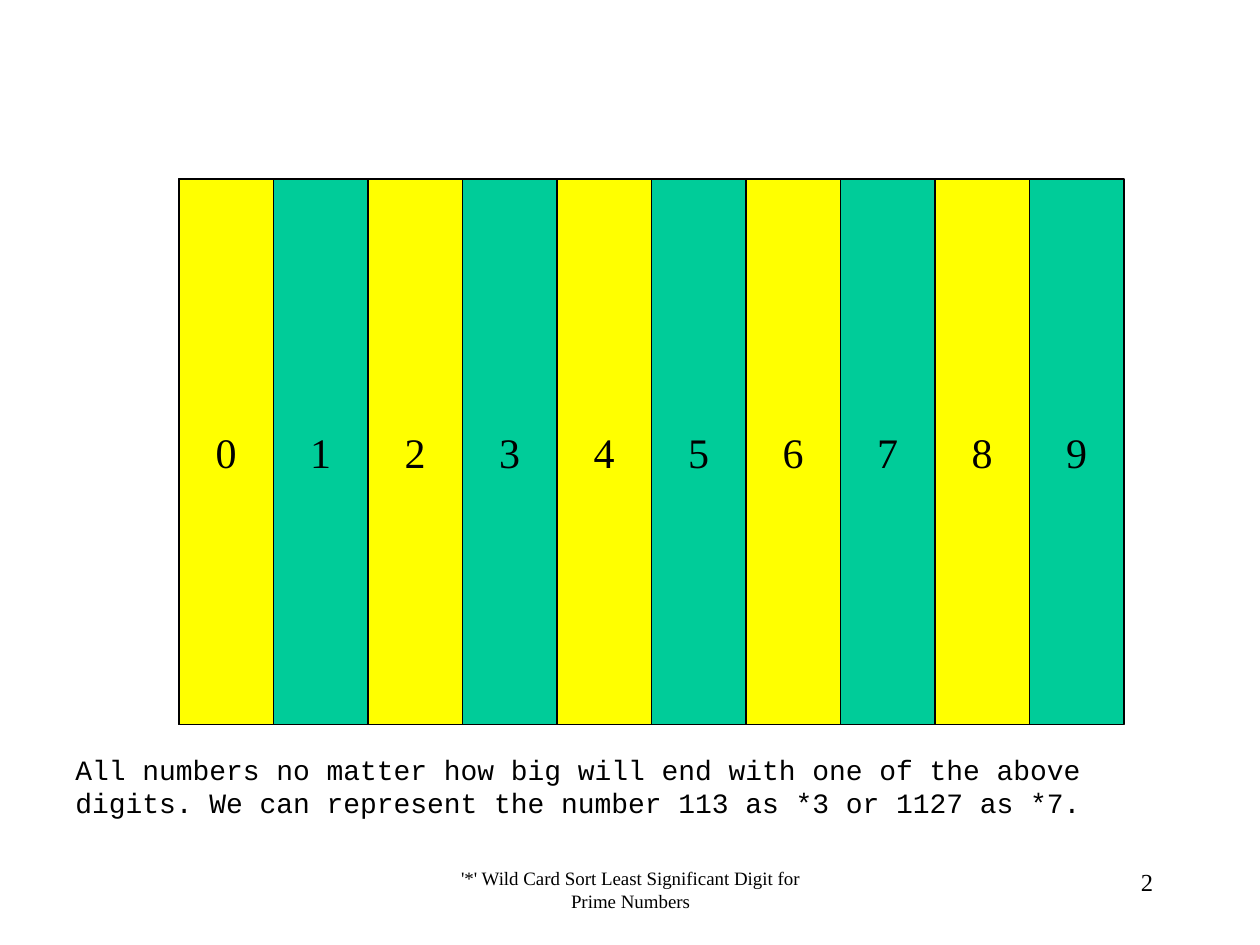
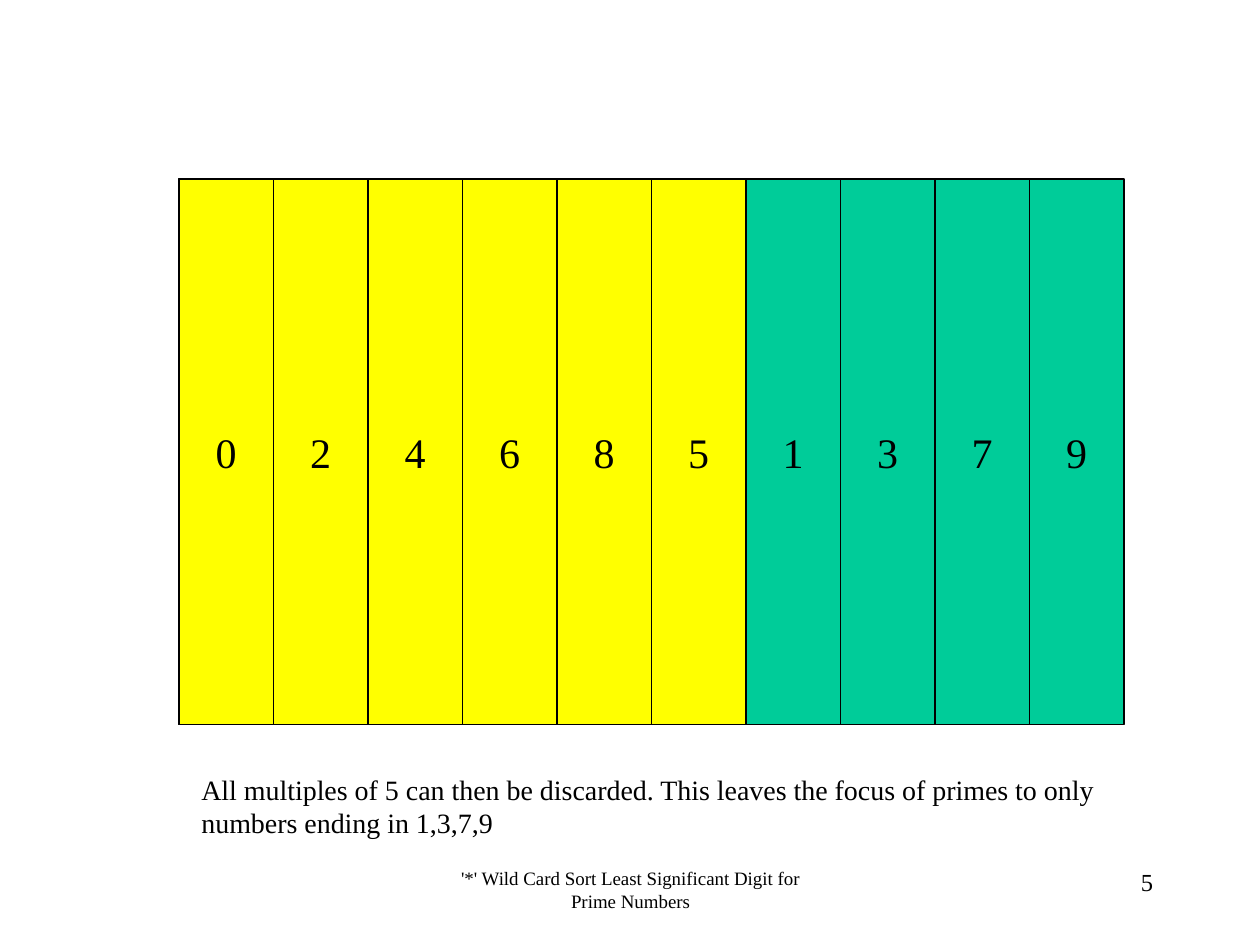
"""Build two slides that sort the final digits of numbers into coloured columns."""
import dataclasses

import pptx
import pptx.dml.color
import pptx.enum.shapes
import pptx.enum.text
import pptx.shapes.autoshape
import pptx.slide
import pptx.text.text
import pptx.util

Inches = pptx.util.Inches
Pt = pptx.util.Pt
RGBColor = pptx.dml.color.RGBColor
Align = pptx.enum.text.PP_ALIGN


@dataclasses.dataclass(frozen=True)
class Theme:
    ink: RGBColor = RGBColor.from_string("000000")
    paper: RGBColor = RGBColor.from_string("FFFFFF")
    yellow: RGBColor = RGBColor.from_string("FFFF00")
    green: RGBColor = RGBColor.from_string("00CC99")
    serif: str = "Times New Roman"
    mono: str = "Courier New"
    digit_size: float = 24
    caption_size: float = 16
    number_size: float = 14
    footer_size: float = 10.8
    outline: float = 0.75


@dataclasses.dataclass(frozen=True)
class Box:
    left: float
    top: float
    width: float
    height: float

    def lengths(self) -> tuple[int, ...]:
        return tuple(Inches(value) for value in dataclasses.astuple(self))


@dataclasses.dataclass(frozen=True)
class DigitSlide:
    number: int
    digits: str
    green_digits: str
    caption: str
    caption_box: Box
    caption_font: str


THEME = Theme()
FOOTER = "'*' Wild Card Sort Least Significant Digit for Prime Numbers"
FOOTER_BOX = Box(3.42, 6.83, 3.17, 0.5)
NUMBER_BOX = Box(7.17, 6.83, 2.08, 0.5)
FRAME = Box(1.42, 1.42, 7.5, 4.33)

DIGIT_SLIDES = (
    DigitSlide(
        2, "0123456789", "13579",
        "All numbers no matter how big will end with one of the above digits. "
        "We can represent the number 113 as *3 or 1127 as *7.",
        Box(0.5, 5.92, 8.92, 0.64), THEME.mono,
    ),
    DigitSlide(
        5, "0246851379", "1379",
        "All multiples of 5 can then be discarded. "
        "This leaves the focus of primes to only numbers ending in 1,3,7,9",
        Box(1.5, 6.08, 7.5, 0.64), THEME.serif,
    ),
)


def write(frame: pptx.text.text.TextFrame, text: str, size: float,
          align: Align, font: str = THEME.serif) -> None:
    paragraph = frame.paragraphs[0]
    paragraph.text = text
    paragraph.alignment = align
    paragraph.font.name = font
    paragraph.font.size = Pt(size)
    paragraph.font.color.rgb = THEME.ink


def add_text(slide: pptx.slide.Slide, box: Box, text: str, size: float,
             align: Align, font: str = THEME.serif) -> None:
    frame = slide.shapes.add_textbox(*box.lengths()).text_frame
    frame.word_wrap = True
    write(frame, text, size, align, font)


def add_rectangle(slide: pptx.slide.Slide, box: Box,
                  fill: RGBColor) -> pptx.shapes.autoshape.Shape:
    shape = slide.shapes.add_shape(
        pptx.enum.shapes.MSO_SHAPE.RECTANGLE, *box.lengths())
    shape.shadow.inherit = False
    shape.fill.solid()
    shape.fill.fore_color.rgb = fill
    shape.line.color.rgb = THEME.ink
    shape.line.width = Pt(THEME.outline)
    return shape


def add_columns(slide: pptx.slide.Slide, digits: str, green_digits: str) -> None:
    add_rectangle(slide, FRAME, THEME.paper)
    width = FRAME.width / len(digits)
    for index, digit in enumerate(digits):
        column = Box(FRAME.left + index * width, FRAME.top, width, FRAME.height)
        fill = THEME.green if digit in green_digits else THEME.yellow
        frame = add_rectangle(slide, column, fill).text_frame
        frame.word_wrap = False
        frame.vertical_anchor = pptx.enum.text.MSO_ANCHOR.MIDDLE
        write(frame, digit, THEME.digit_size, Align.CENTER)


def build_slide(slide: pptx.slide.Slide, content: DigitSlide) -> None:
    add_text(slide, FOOTER_BOX, FOOTER, THEME.footer_size, Align.CENTER)
    add_text(slide, NUMBER_BOX, str(content.number), THEME.number_size, Align.RIGHT)
    add_columns(slide, content.digits, content.green_digits)
    add_text(slide, content.caption_box, content.caption, THEME.caption_size,
             Align.LEFT, content.caption_font)


def main() -> None:
    presentation = pptx.Presentation()
    presentation.slide_width = Inches(10)
    presentation.slide_height = Inches(7.5)
    blank_layout = presentation.slide_layouts[6]
    for content in DIGIT_SLIDES:
        build_slide(presentation.slides.add_slide(blank_layout), content)
    presentation.save("out.pptx")


if __name__ == "__main__":
    main()
